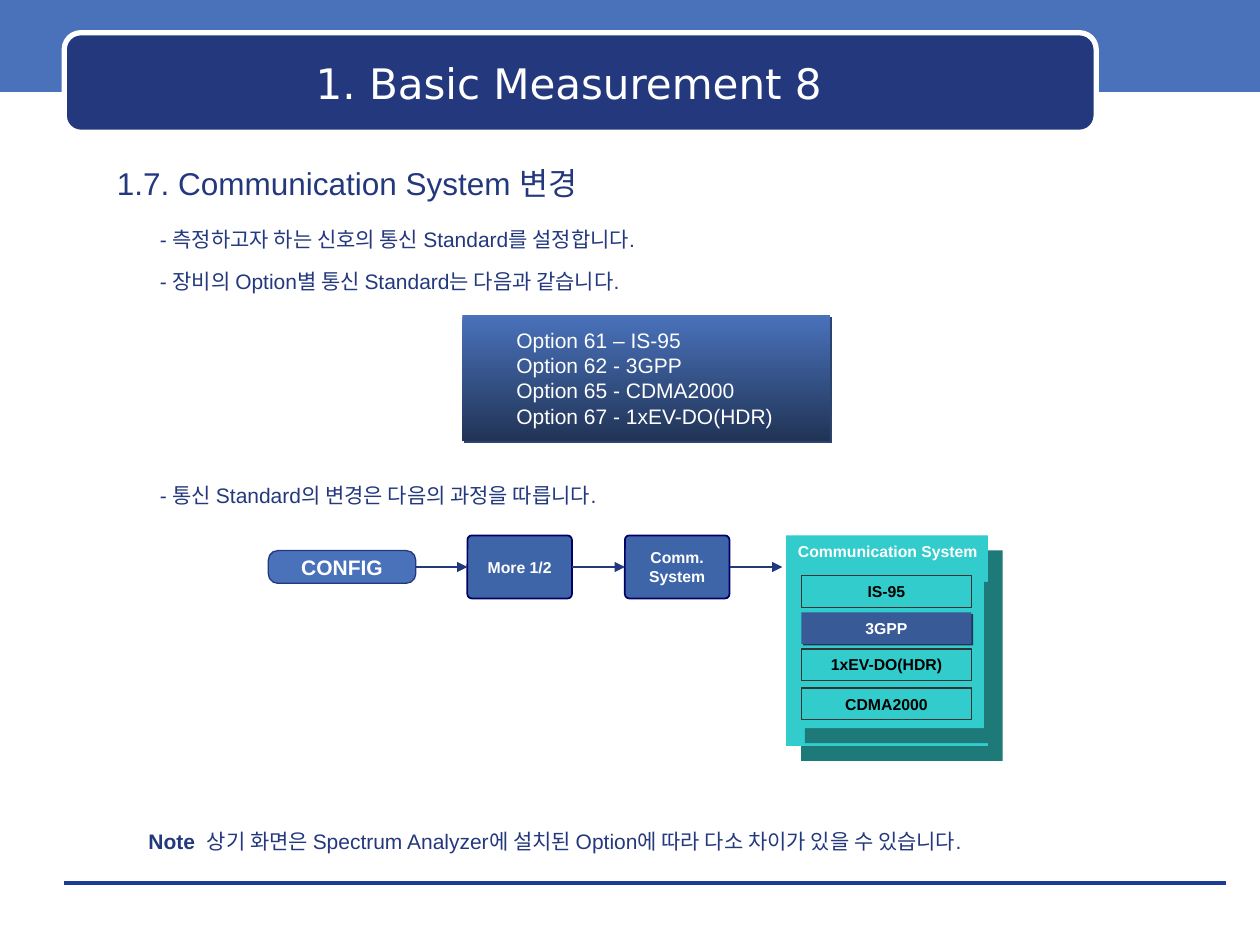
from dataclasses import dataclass

from lxml.etree import SubElement
from pptx import Presentation
from pptx.dml.color import RGBColor
from pptx.enum.shapes import MSO_CONNECTOR, MSO_SHAPE
from pptx.enum.text import MSO_ANCHOR, PP_ALIGN
from pptx.oxml.ns import qn
from pptx.util import Inches, Pt


@dataclass(frozen=True)
class Theme:
    navy: str = "23387D"
    blue: str = "4972BB"
    deep: str = "213456"
    step: str = "3F65A9"
    step_edge: str = "000066"
    selected: str = "385A96"
    teal: str = "33CCCC"
    edge: str = "333333"
    rule: str = "1A3D97"
    white: str = "FFFFFF"
    black: str = "000000"
    options_shadow: str = "2B446F"
    panel_shadow: str = "1E7979"
    selected_shadow: str = "213559"
    title_font: str = "DejaVu Sans"
    body_font: str = "Arial"
    title_size: int = 24
    heading_size: int = 18
    body_size: int = 12
    small_size: int = 9


theme = Theme()
rgb = RGBColor.from_string

prs = Presentation()
prs.slide_width, prs.slide_height = Inches(10), Inches(7.5)
slide = prs.slides.add_slide(prs.slide_layouts[5])
shapes = slide.shapes


def add_block(kind, box, fill=None, line=None, line_width=0.75, shadow=None, distance=0):
    block = shapes.add_shape(kind, *map(Inches, box))
    block.shadow.inherit = False
    if fill:
        block.fill.solid()
        block.fill.fore_color.rgb = rgb(fill)
    else:
        block.fill.background()
    if line:
        block.line.color.rgb = rgb(line)
        block.line.width = Pt(line_width)
    else:
        block.line.fill.background()
    if shadow:
        effects = block._element.spPr.find(qn("a:effectLst"))
        outer = SubElement(effects, qn("a:outerShdw"), blurRad="0", dist=str(Pt(distance)),
                           dir="2700000", algn="ctr", rotWithShape="0")
        SubElement(outer, qn("a:srgbClr"), val=shadow)
    return block


def write(holder, lines, size, color, bold=False, align=PP_ALIGN.LEFT,
          anchor=MSO_ANCHOR.TOP, wrap=True, font=theme.body_font):
    frame = holder.text_frame
    frame.word_wrap = wrap
    frame.vertical_anchor = anchor
    for index, line in enumerate(lines):
        paragraph = frame.add_paragraph() if index else frame.paragraphs[0]
        paragraph.text = line
        paragraph.alignment = align
        paragraph.font.name = font
        paragraph.font.size = Pt(size)
        paragraph.font.bold = bold
        paragraph.font.color.rgb = rgb(color)


# Header band, footer rule and title banner
add_block(MSO_SHAPE.RECTANGLE, (0, -0.03, 10, 0.76), theme.blue)
footer_rule = shapes.add_connector(
    MSO_CONNECTOR.STRAIGHT, Inches(0.51), Inches(7.01), Inches(9.73), Inches(7.01))
footer_rule.line.color.rgb = rgb(theme.rule)
footer_rule.line.width = Pt(0)
SubElement(footer_rule._element.spPr, qn("a:effectLst"))
add_block(MSO_SHAPE.ROUNDED_RECTANGLE, (0.51, 0.26, 8.19, 0.79), theme.navy, theme.white, 3)

# Title, brought in front of its banner
title = shapes.title
title.left, title.top, title.width, title.height = map(Inches, (0.6, 0.35, 7.83, 0.62))
write(title, ["1. Basic Measurement 8"], theme.title_size, theme.white,
      align=PP_ALIGN.CENTER, anchor=MSO_ANCHOR.MIDDLE, font=theme.title_font)
shapes._spTree.append(title._element)

# Heading and statements
for left, top, width, height, size, statement in (
    (0.83, 1.25, 4.5, 0.4, theme.heading_size, "1.7. Communication System 변경"),
    (1.17, 1.75, 8.33, 0.3, theme.body_size, "- 측정하고자 하는 신호의 통신 Standard를 설정합니다."),
    (1.17, 2.08, 8.33, 0.3, theme.body_size, "- 장비의 Option별 통신 Standard는 다음과 같습니다."),
    (1.17, 3.78, 8.33, 0.3, theme.body_size, "- 통신 Standard의 변경은 다음의 과정을 따릅니다."),
):
    statement_box = shapes.add_textbox(*map(Inches, (left, top, width, height)))
    write(statement_box, [statement], size, theme.navy)

# Option list
options_panel = add_block(MSO_SHAPE.RECTANGLE, (3.67, 2.5, 2.92, 1), theme.blue,
                          shadow=theme.options_shadow, distance=1.4)
options_panel.fill.gradient()
options_panel.fill.gradient_angle = 270
for stop, color, position in zip(options_panel.fill.gradient_stops,
                                 (theme.blue, theme.deep), (0, 1)):
    stop.color.rgb = rgb(color)
    stop.position = position
options = shapes.add_textbox(*map(Inches, (4, 2.55, 2.42, 0.9)))
write(options, ["Option 61 – IS-95", "Option 62 - 3GPP", "Option 65 - CDMA2000",
                "Option 67 - 1xEV-DO(HDR)"], theme.body_size, theme.white)

# Key sequence
flow_y = 4.5
steps = []
for left, width, height, corner, fill, edge, edge_width, size, lines in (
    (2.13, 1.17, 0.26, 0.29, theme.blue, theme.navy, 0.75, theme.body_size, ["CONFIG"]),
    (3.71, 0.83, 0.5, 0.07, theme.step, theme.step_edge, 1, theme.small_size, ["More 1/2"]),
    (4.96, 0.83, 0.5, 0.07, theme.step, theme.step_edge, 1, theme.small_size,
     ["Comm.", "System"]),
):
    step = add_block(MSO_SHAPE.ROUNDED_RECTANGLE,
                     (left, flow_y - height / 2, width, height), fill, edge, edge_width)
    step.adjustments[0] = corner
    write(step, lines, size, theme.white, True, PP_ALIGN.CENTER, MSO_ANCHOR.MIDDLE, wrap=False)
    steps.append(step)

# Communication System menu
add_block(MSO_SHAPE.RECTANGLE, (6.24, 4.25, 1.6, 1.67), theme.teal,
          shadow=theme.panel_shadow, distance=12.1)
menu_title = shapes.add_textbox(*map(Inches, (6.17, 4.25, 1.75, 0.25)))
write(menu_title, ["Communication System"], theme.small_size, theme.white, True,
      PP_ALIGN.CENTER)
add_block(MSO_SHAPE.RECTANGLE, (6.27, 4.5, 1.54, 1.28), theme.teal,
          shadow=theme.panel_shadow, distance=12.1)
for top, system in ((4.57, "IS-95"), (4.86, "3GPP"), (5.15, "1xEV-DO(HDR)"), (5.46, "CDMA2000")):
    box = (6.36, top, 1.35, 0.25)
    if system == "3GPP":
        entry = add_block(MSO_SHAPE.RECTANGLE, box, theme.selected,
                          shadow=theme.selected_shadow, distance=1.4)
        color = theme.white
    else:
        entry = add_block(MSO_SHAPE.RECTANGLE, box, line=theme.edge)
        color = theme.black
    write(entry, [system], theme.small_size, color, True, PP_ALIGN.CENTER, MSO_ANCHOR.MIDDLE)

# Arrows between the steps and on to the menu
for source, target in zip(steps, steps[1:] + [None]):
    arrow = shapes.add_connector(MSO_CONNECTOR.STRAIGHT, source.left + source.width,
                                 Inches(flow_y), Inches(6.21), Inches(flow_y))
    arrow.begin_connect(source, 3)
    if target is not None:
        arrow.end_connect(target, 1)
    arrow.line.color.rgb = rgb(theme.navy)
    arrow.line.width = Pt(0.75)
    SubElement(arrow.line._get_or_add_ln(), qn("a:tailEnd"), type="triangle")
    SubElement(arrow._element.spPr, qn("a:effectLst"))

# Note
note = shapes.add_textbox(*map(Inches, (1.08, 6.53, 8.33, 0.3)))
write(note, ["Note "], theme.body_size, theme.navy)
note_line = note.text_frame.paragraphs[0]
note_line.runs[0].font.bold = True
note_line.add_run().text = (
    " 상기 화면은 Spectrum Analyzer에 설치된 Option에 따라 다소 차이가 있을 수 있습니다.")

prs.save("out.pptx")
